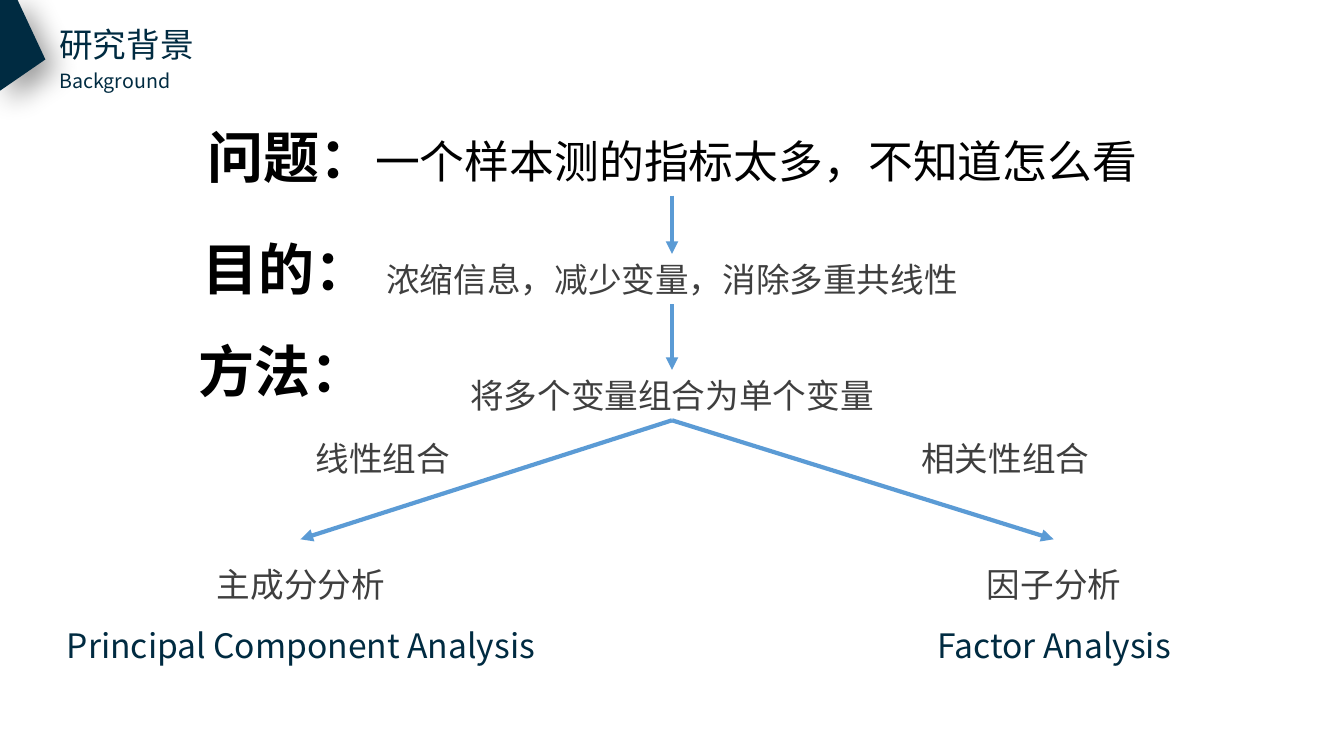
from lxml import etree
from pptx import Presentation
from pptx.dml.color import RGBColor
from pptx.enum.shapes import MSO_CONNECTOR
from pptx.enum.text import MSO_AUTO_SIZE, PP_ALIGN
from pptx.oxml import parse_xml
from pptx.oxml.ns import nsdecls, qn
from pptx.util import Inches, Pt

LEFT, CENTER = PP_ALIGN.LEFT, PP_ALIGN.CENTER
STRAIGHT = MSO_CONNECTOR.STRAIGHT
GROW = MSO_AUTO_SIZE.SHAPE_TO_FIT_TEXT
SC, JP = "Noto Sans CJK SC", "Noto Sans CJK JP"
COLORS = {"navy": "002B41", "black": "000000", "gray": "3F3F3F", "blue": "5B9BD5"}

prs = Presentation()
prs.slide_width, prs.slide_height = Inches(13.33), Inches(7.5)
s = prs.slides.add_slide(prs.slide_layouts[6])
MID = 13.33 / 2


def style(font, size, color, bold=False, name=SC):
    """Set a font for both Latin and East Asian characters."""
    font.size, font.bold, font.name = Pt(size), bold, name
    font.color.rgb = RGBColor.from_string(COLORS[color])
    latin = font._element.find(qn("a:latin"))
    latin.addnext(parse_xml(f'<a:ea {nsdecls("a")} typeface="{name}"/>'))


def add_text(box, lines, align=LEFT, spacing=1.0, wrap=False):
    """Add a text box; each line is a list of (text, size, color, bold, font) runs."""
    tf = s.shapes.add_textbox(*map(Inches, box)).text_frame
    tf.word_wrap, tf.auto_size = wrap, GROW
    for i, runs in enumerate(lines):
        p = tf.add_paragraph() if i else tf.paragraphs[0]
        p.alignment, p.line_spacing = align, spacing
        if len(runs) == 1:
            style(p.font, *runs[0][1:])
        for text, *look in runs:
            r = p.add_run()
            r.text = text
            if len(runs) > 1:
                style(r.font, *look)


# Header with corner mark
add_text((0.49, 0.19, 1.55, 0.5), [[("研究背景", 24, "navy")]])
add_text((0.49, 0.56, 3.06, 0.38), [[("Background", 14, "navy")]], spacing=1.3, wrap=True)

outline = s.shapes.build_freeform(Inches(0.17), Inches(-0.01))
outline.add_line_segments([(Inches(x), Inches(y)) for x, y in
                           [(0, -0.01), (0, 0.9), (0.45, 0.59)]], close=True)
corner = outline.convert_to_shape()
corner.fill.solid()
corner.fill.fore_color.rgb = RGBColor.from_string(COLORS["navy"])
corner.line.fill.background()
corner._element.spPr.append(parse_xml(
    f'<a:effectLst {nsdecls("a")}><a:outerShdw blurRad="{Pt(20)}" dist="{Pt(10)}" '
    f'dir="{45 * 60000}" algn="tl" rotWithShape="0"><a:srgbClr val="{COLORS["black"]}">'
    '<a:alpha val="40000"/></a:srgbClr></a:outerShdw></a:effectLst>'))

# Question, aim and method
add_text((1.91, 1.17, 9.52, 0.77),
         [[("问题：", 40, "black", True),
           ("一个样本测的指标太多，不知道怎么看", 32, "black", False, JP)]], CENTER)
for x, y, label in [(1.91, 2.28, "目的："), (1.87, 3.29, "方法：")]:
    add_text((x, y, 1.89, 0.77), [[(label, 40, "black", True)]])

for y, width, step in [(2.52, 5.92, "浓缩信息，减少变量，消除多重共线性"),
                       (3.67, 4.24, "将多个变量组合为单个变量")]:
    add_text((MID - width / 2, y, width, 0.5), [[(step, 24, "gray")]], CENTER)

# Two branches
for x, width, label in [(3.03, 1.55, "线性组合"), (9.04, 1.88, "相关性组合")]:
    add_text((x, 4.3, width, 0.5), [[(label, 24, "gray")]])

for x, width, chinese, english in [
        (0.49, 4.99, "主成分分析", "Principal Component Analysis"),
        (9.16, 2.59, "因子分析", "Factor Analysis")]:
    add_text((x, 5.35, width, 1.24),
             [[(chinese, 24, "gray")], [(english, 24, "navy")]], CENTER, 1.5)

for y1, x2, y2 in [(1.94, MID, 2.52), (3.02, MID, 3.67),
                   (4.17, 2.98, 5.35), (4.17, 10.45, 5.35)]:
    arrow = s.shapes.add_connector(STRAIGHT, *map(Inches, (MID, y1, x2, y2)))
    arrow.line.color.rgb = RGBColor.from_string(COLORS["blue"])
    arrow.line.width = Pt(3)
    etree.SubElement(arrow.line._get_or_add_ln(), qn("a:tailEnd"), type="triangle")
    etree.SubElement(arrow._element.spPr, qn("a:effectLst"))

prs.save("out.pptx")
